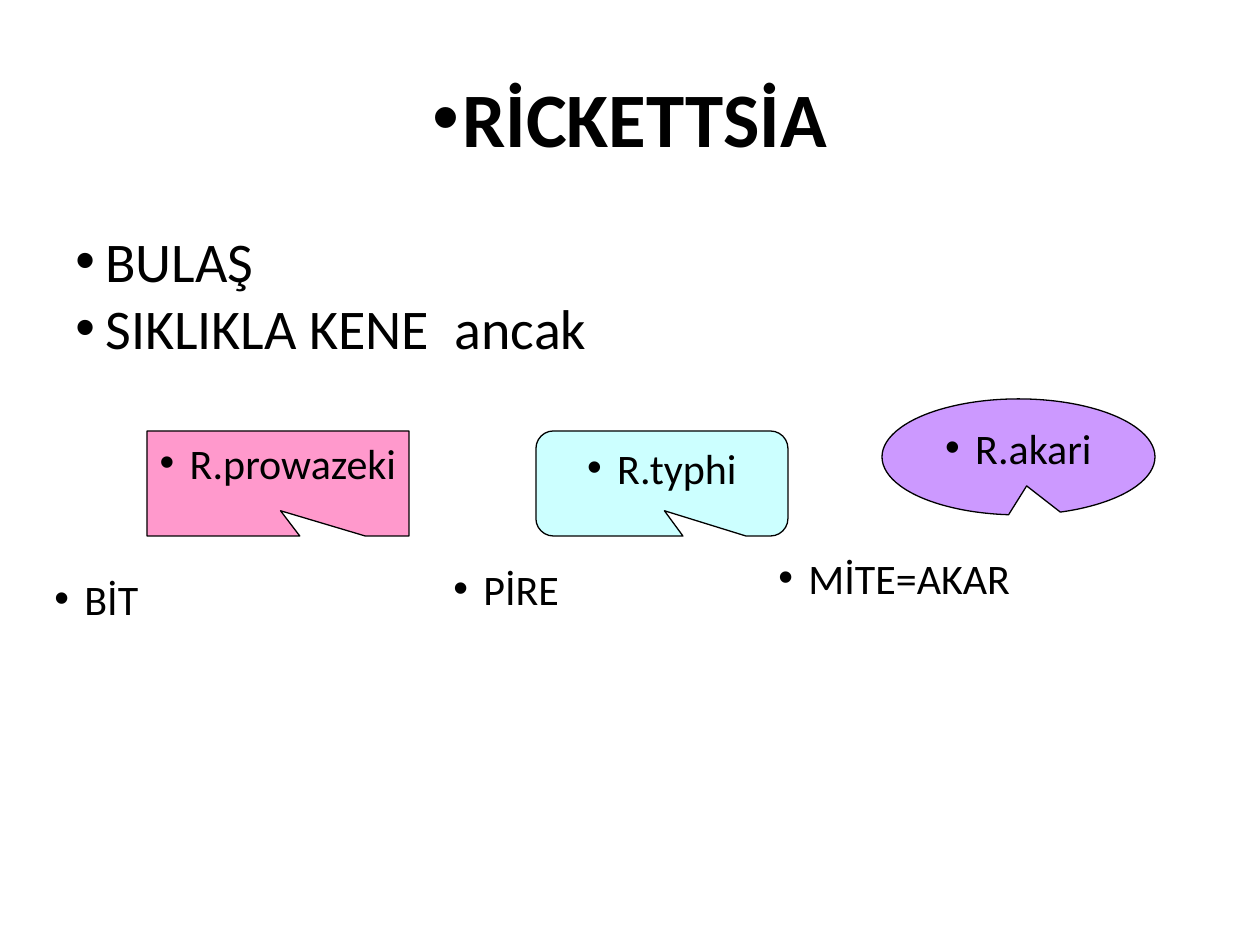
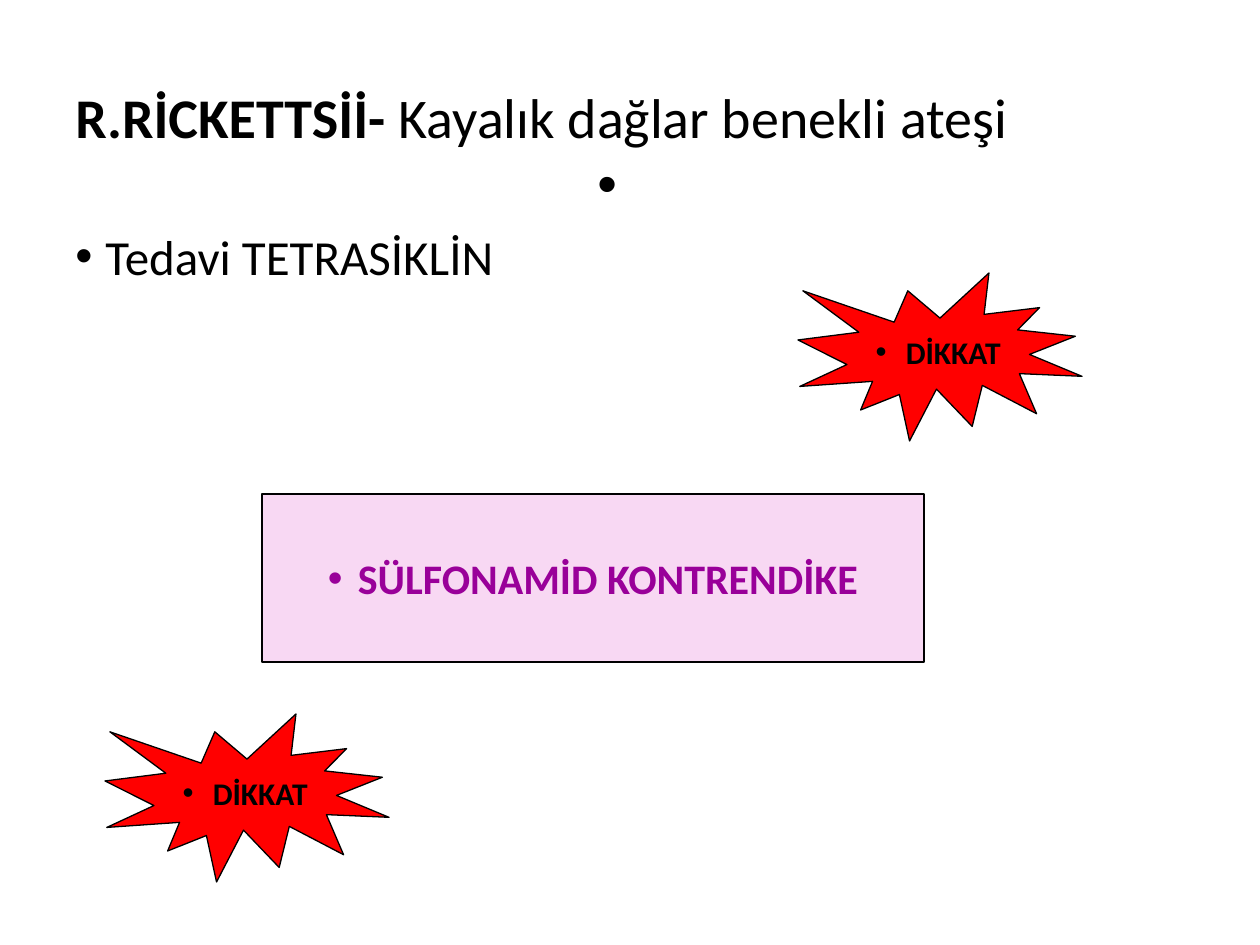
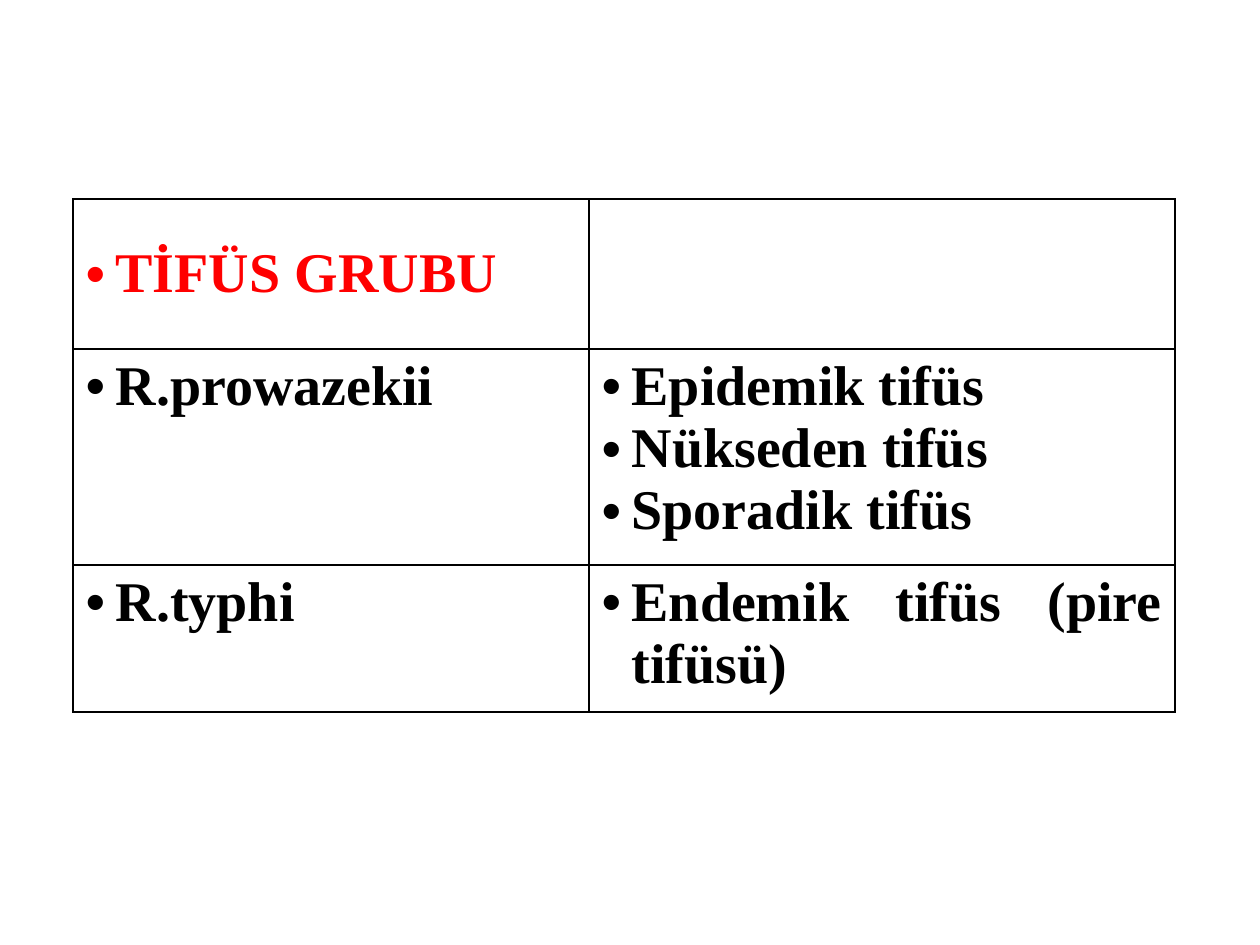
"""Build three slides about Rickettsia: transmission, treatment and the typhus group."""
from lxml import etree
from pptx import Presentation
from pptx.dml.color import RGBColor
from pptx.enum.shapes import MSO_SHAPE
from pptx.enum.text import MSO_ANCHOR, PP_ALIGN
from pptx.oxml.ns import qn
from pptx.util import Pt

PX = 914400 / 126
BLACK = RGBColor(0, 0, 0)
RED = RGBColor(255, 0, 0)
PINK = RGBColor(255, 153, 204)
AQUA = RGBColor(204, 255, 255)
LILAC = RGBColor(204, 153, 255)
BLUSH = RGBColor(248, 216, 243)
PURPLE = RGBColor(153, 0, 153)
TOP, MIDDLE = MSO_ANCHOR.TOP, MSO_ANCHOR.MIDDLE
LEFT, CENTER, JUSTIFY = PP_ALIGN.LEFT, PP_ALIGN.CENTER, PP_ALIGN.JUSTIFY
RECTANGLE = MSO_SHAPE.RECTANGLE
BURST = MSO_SHAPE.EXPLOSION1
BODY_FONT, TABLE_FONT = "Calibri", "Times New Roman"

HANG = 30
TITLE_BOX = (63, 38, 1134, 157)
BODY_BOX = (63, 220, 1134, 624)
TITLE_LINE_TOP = 45
LONE_BULLET_MARGIN = 552

TRANSMISSION_TITLE = "RİCKETTSİA"
TRANSMISSION = ["BULAŞ", "SIKLIKLA KENE  ancak"]
CARRIERS = [
    ("R.prowazeki", MSO_SHAPE.RECTANGULAR_CALLOUT, (147, 431, 262, 105), PINK, (0.01, 0.26),
     "BİT", (42, 567, 168, 63)),
    ("R.typhi", MSO_SHAPE.ROUNDED_RECTANGULAR_CALLOUT, (536, 431, 252, 105), AQUA, (0.01, 0.26),
     "PİRE", (441, 557, 179, 63)),
    ("R.akari", MSO_SHAPE.OVAL_CALLOUT, (882, 399, 273, 116), LILAC, (0.03, 0.25),
     "MİTE=AKAR", (766, 546, 273, 113)),
]

TREATMENT_TITLE = [("R.RİCKETTSİİ- ", True), ("Kayalık dağlar benekli ateşi", False)]
TREATMENT = ["Tedavi TETRASİKLİN"]
WARNINGS = [
    ("SÜLFONAMİD KONTRENDİKE", RECTANGLE, (262, 494, 662, 168), BLUSH, 24, PURPLE),
    ("DİKKAT", BURST, (105, 714, 284, 168), RED, 18, BLACK),
    ("DİKKAT", BURST, (798, 273, 284, 168), RED, 18, BLACK),
]

TABLE_ORIGIN = (73, 199)
COLUMN_WIDTHS = [516, 586]
ROW_HEIGHTS = [150, 216, 147]
TYPHUS = [
    [["TİFÜS GRUBU"], []],
    [["R.prowazekii"], ["Epidemik tifüs", "Nükseden tifüs", "Sporadik tifüs"]],
    [["R.typhi"], ["Endemik tifüs (pire tifüsü)"]],
]


def emu(*lengths):
    return [round(length * PX) for length in lengths]


def add_bullet(paragraph, margin=HANG):
    properties = paragraph._p.get_or_add_pPr()
    left, hang = emu(margin, HANG)
    properties.set("marL", str(left))
    properties.set("indent", str(-hang))
    etree.SubElement(properties, qn("a:buFont"), typeface="Arial")
    etree.SubElement(properties, qn("a:buChar"), char="•")


def add_run(paragraph, text, size, color=BLACK, bold=False, name=BODY_FONT):
    run = paragraph.add_run()
    run.text = text
    run.font.color.rgb = color
    for attribute, value in {"size": Pt(size), "bold": bold, "name": name}.items():
        setattr(run.font, attribute, value)


def write_bullets(frame, lines, size, align=LEFT, **font):
    for index, line in enumerate(lines):
        paragraph = frame.add_paragraph() if index else frame.paragraphs[0]
        paragraph.alignment = align
        add_bullet(paragraph)
        add_run(paragraph, line, size, **font)


def add_text(slide, box, anchor=TOP):
    frame = slide.shapes.add_textbox(*emu(*box)).text_frame
    frame.word_wrap = True
    frame.vertical_anchor = anchor
    return frame


def add_figure(slide, kind, box, fill, anchor=TOP, wrap=True):
    shape = slide.shapes.add_shape(kind, *emu(*box))
    shape.shadow.inherit = False
    shape.fill.solid()
    shape.fill.fore_color.rgb = fill
    shape.line.color.rgb = BLACK
    shape.line.width = Pt(0.75)
    shape.text_frame.word_wrap = wrap
    shape.text_frame.vertical_anchor = anchor
    return shape


def add_borders(cell):
    properties = cell._tc.get_or_add_tcPr()
    for side in ("lnL", "lnR", "lnT", "lnB"):
        line = etree.SubElement(properties, qn(f"a:{side}"), w=str(Pt(1)))
        fill = etree.SubElement(line, qn("a:solidFill"))
        etree.SubElement(fill, qn("a:srgbClr"), val=str(BLACK))


def build_transmission(slide):
    write_bullets(add_text(slide, TITLE_BOX, MIDDLE), [TRANSMISSION_TITLE], 44, CENTER, bold=True)
    write_bullets(add_text(slide, BODY_BOX), TRANSMISSION, 32)
    for species, kind, box, fill, pointer, carrier, label_box in CARRIERS:
        callout = add_figure(slide, kind, box, fill)
        for index, value in enumerate(pointer):
            callout.adjustments[index] = value
        write_bullets(callout.text_frame, [species], 24, CENTER)
        write_bullets(add_text(slide, label_box), [carrier], 24)


def build_treatment(slide):
    title = add_text(slide, TITLE_BOX)
    title.margin_top = emu(TITLE_LINE_TOP)[0]
    for text, bold in TREATMENT_TITLE:
        add_run(title.paragraphs[0], text, 32, bold=bold)
    lone_bullet = title.add_paragraph()
    add_bullet(lone_bullet, LONE_BULLET_MARGIN)
    add_run(lone_bullet, " ", 32, bold=True)
    write_bullets(add_text(slide, BODY_BOX), TREATMENT, 28)
    for text, kind, box, fill, size, color in WARNINGS:
        shape = add_figure(slide, kind, box, fill, MIDDLE, wrap=False)
        write_bullets(shape.text_frame, [text], size, CENTER, color=color, bold=True)


def build_typhus(slide):
    box = (*TABLE_ORIGIN, sum(COLUMN_WIDTHS), sum(ROW_HEIGHTS))
    table = slide.shapes.add_table(len(ROW_HEIGHTS), len(COLUMN_WIDTHS), *emu(*box)).table
    table.first_row = table.horz_banding = False
    for column, width in zip(table.columns, emu(*COLUMN_WIDTHS)):
        column.width = width
    for row, height in zip(table.rows, emu(*ROW_HEIGHTS)):
        row.height = height
    for row_index, row in enumerate(TYPHUS):
        for column_index, lines in enumerate(row):
            cell = table.cell(row_index, column_index)
            add_borders(cell)
            cell.fill.background()
            cell.vertical_anchor = TOP if row_index else MIDDLE
            write_bullets(cell.text_frame, lines, 32, JUSTIFY, bold=True, name=TABLE_FONT,
                          color=BLACK if row_index else RED)


def main():
    presentation = Presentation()
    presentation.slide_width, presentation.slide_height = emu(1260, 945)
    for build in (build_transmission, build_treatment, build_typhus):
        build(presentation.slides.add_slide(presentation.slide_layouts[6]))
    presentation.save("out.pptx")


if __name__ == "__main__":
    main()
